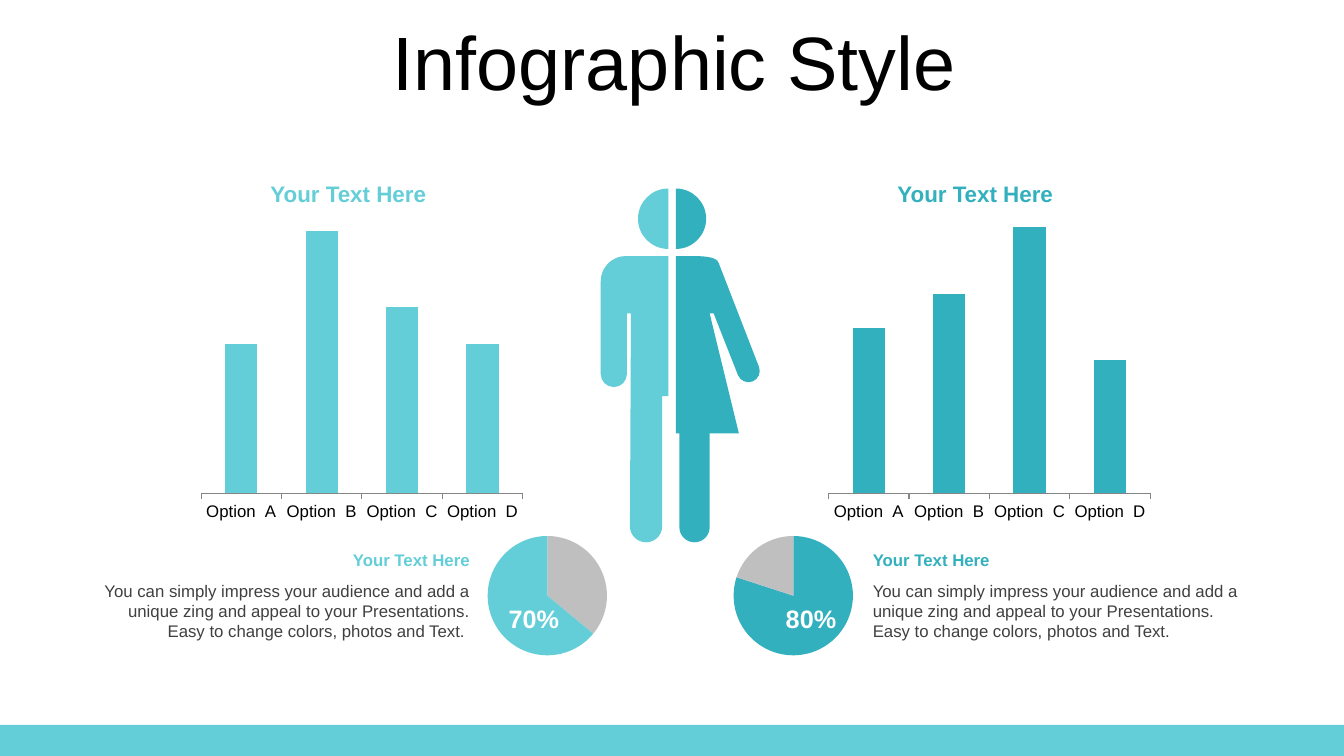
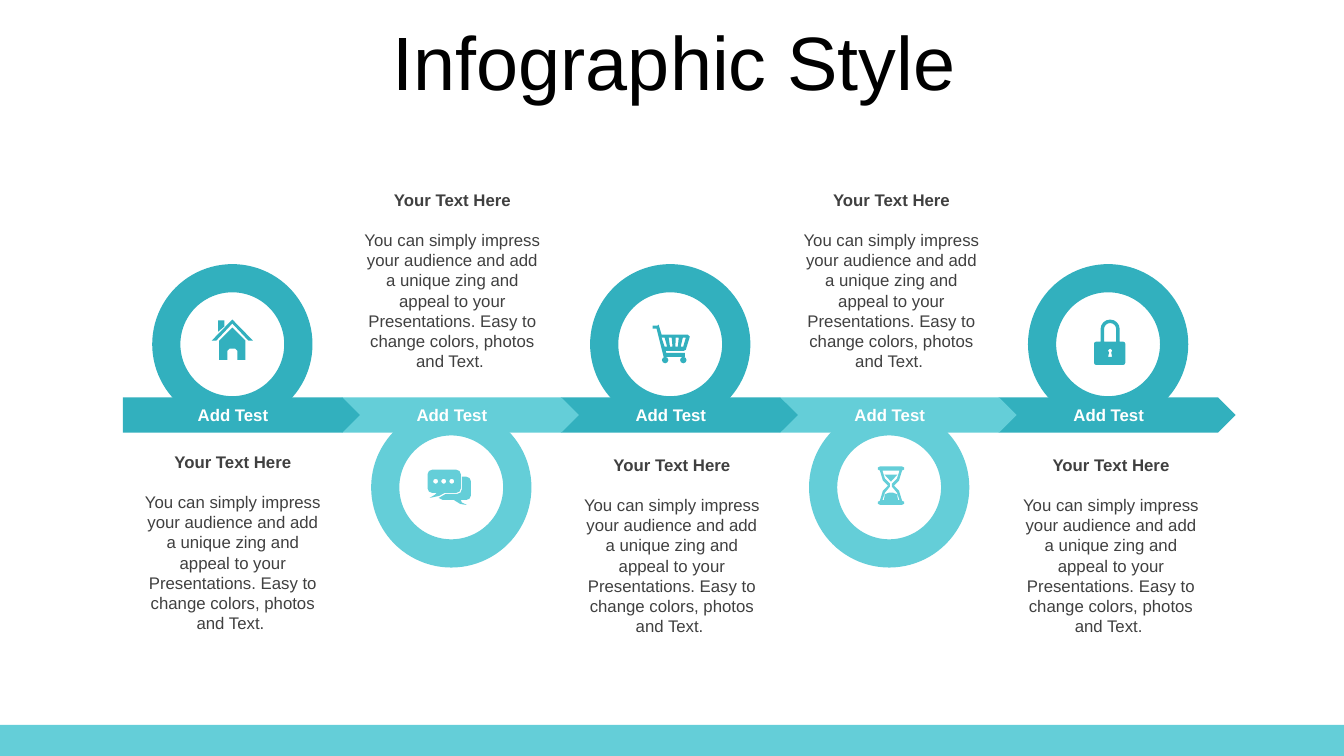
import math

import pptx
import pptx.chart.data
import pptx.dml.color
import pptx.enum.chart
import pptx.enum.shapes
import pptx.enum.text
import pptx.oxml
import pptx.oxml.ns
import pptx.util

# Lengths are columns and rows of a grid of 0.1 inch cells
COLUMNS, ROWS = 133.33, 75
FONT = "Arial"
LIGHT, DARK, GREY = "64CED8", "32B0BE", "BFBFBF"
BLACK, WHITE, BODY, AXIS = "000000", "FFFFFF", "404040", "868686"
HEADING = "Your Text Here"
MESSAGE = ("You can simply impress your audience and add a unique zing and appeal "
           "to your Presentations. Easy to change colors, photos and Text. ")

Align = pptx.enum.text.PP_ALIGN
Anchor = pptx.enum.text.MSO_ANCHOR
Preset = pptx.enum.shapes.MSO_SHAPE
ChartType = pptx.enum.chart.XL_CHART_TYPE


def cells(count):
    return pptx.util.Inches(count / 10)


def grid(*counts):
    return [cells(count) for count in counts]


def rgb(colour):
    return pptx.dml.color.RGBColor.from_string(colour)


def style_font(font, size, colour, bold=False):
    font.name, font.size, font.bold = FONT, pptx.util.Pt(size), bold
    font.color.rgb = rgb(colour)


def write(frame, text, size, colour, bold=False, align=Align.CENTER, anchor=Anchor.TOP):
    frame.word_wrap = True
    frame.auto_size = pptx.enum.text.MSO_AUTO_SIZE.NONE
    frame.vertical_anchor = anchor
    frame.text = text
    para = frame.paragraphs[0]
    para.alignment = align
    style_font(para.runs[0].font, size, colour, bold)
    return para


def text_box(page, text, place, *style, **options):
    box = page.shapes.add_textbox(*grid(*place))
    write(box.text_frame, text, *style, **options)


def paint(shape, colour):
    shape.shadow.inherit = False
    shape.fill.solid()
    shape.fill.fore_color.rgb = rgb(colour)
    shape.line.fill.background()
    return shape


def preset(page, kind, place, colour):
    return paint(page.shapes.add_shape(kind, *grid(*place)), colour)


# Outlines: a contour lists points (x, y) and curves (control, control, end)

def is_curve(step):
    return len(step) == 3


def arc(x, y, radius, start, end):
    """Start point and Bezier curves of an arc, angles clockwise from the right."""
    count = math.ceil(abs(end - start) / 90)
    sweep = math.radians(end - start) / count
    reach = 4 / 3 * math.tan(sweep / 4)

    def spot(angle, pull=0):
        return (x + radius * (math.cos(angle) - pull * math.sin(angle)),
                y + radius * (math.sin(angle) + pull * math.cos(angle)))

    angles = [math.radians(start) + sweep * i for i in range(count + 1)]
    curves = [(spot(a, reach), spot(b, -reach), spot(b)) for a, b in zip(angles, angles[1:])]
    return [spot(angles[0]), *curves]


def rounded(left, top, right, bottom, radius, tail=()):
    """Rounded rectangle; tail holds extra points along the bottom edge."""
    x1, x2, y1, y2 = left + radius, right - radius, top + radius, bottom - radius
    return [*arc(x1, y1, radius, 180, 270), *arc(x2, y1, radius, 270, 360),
            *arc(x2, y2, radius, 0, 90), *tail, *arc(x1, y2, radius, 90, 180)]


def mirrored(right_half):
    return right_half + [(-x, y) for x, y in reversed(right_half)]


def bend(first):
    """Turn a line segment and the two after it into one Bezier curve."""
    curve = pptx.oxml.parse_xml(f'<a:cubicBezTo {pptx.oxml.ns.nsdecls("a")}/>')
    lines = [first, *first.xpath("following-sibling::a:lnTo[position() < 3]")]
    first.addprevious(curve)
    for line in lines:
        curve.append(line[0])
        line.getparent().remove(line)


def outline(page, contours, colour, origin=(0, 0), turn=0):
    """Draw contours upright; turn is the rotation that the shape itself carries."""
    cosine, sine = math.cos(math.radians(-turn)), math.sin(math.radians(-turn))

    def locate(x, y):
        return grid(origin[0] + x * cosine - y * sine, origin[1] + x * sine + y * cosine)

    builder, curve_starts, count = None, [], 0
    for contour in contours:
        start = locate(*contour[0])
        if builder is None:
            builder = page.shapes.build_freeform(*start, scale=1.0)
        else:
            builder.move_to(*start)
        points = []
        for step in contour[1:]:
            if is_curve(step):
                curve_starts.append(count + len(points))
            points += step if is_curve(step) else [step]
        builder.add_line_segments([locate(*point) for point in points], close=True)
        count += len(points)
    shape = paint(builder.convert_to_shape(), colour)
    lines = shape.element.xpath(".//a:lnTo")
    for index in curve_starts:
        bend(lines[index])
    shape.rotation = turn


MAN = [
    [*arc(62.1, 27.9, 2.5, 180, 270), (66.3, 25.4), (66.3, 39.3), (65.7, 39.3),
     *arc(64.1, 52.2, 1.6, 0, 180), (62.6, 31.1), (62.2, 31.1),
     *arc(60.9, 37.1, 1.3, 0, 180)],
    arc(66.3, 21.7, 3, 90, 270),
]
WOMAN = [
    [(67.05, 25.4), (68.2, 25.4), ((69.6, 25.4), (71.1, 25.4), (71.3, 26.1)),
     *arc(74.25, 36.8, 1.12, -21, 159), (70.8, 31.1), (70.4, 31.1),
     (73.3, 43), (70.4, 43), *arc(68.9, 52.3, 1.5, 0, 180), (67.4, 43), (67.05, 43)],
    arc(67.05, 21.7, 3, -90, 90),
]

# Icons are drawn around the centre of their ring
HOUSE = [
    mirrored([(0, -1.65), (1.3, -0.35), (1.3, 1.55), (0.5, 1.55), (0.5, 0.65),
              (0.3, 0.45)]),
    [(-1.4, -2.35), (-0.8, -2.35), (-0.8, -1.75), (-1.4, -1.25)],
    [(0, -2.45), (2.05, -0.35), (1.6, -0.35), (0, -2.05), (-1.6, -0.35), (-2.05, -0.35)],
]
BUBBLES = [
    rounded(-2.35, -1.75, 0.95, 0.55, 0.45,
            [(-0.65, 0.55), (-1.2, 0.85), (-2.15, 1.05), (-1.65, 0.75), (-1.45, 0.55)]),
    *[arc(-1.55 + 0.8 * i, -0.6, 0.25, 0, 360) for i in range(3)],
    [(1.05, -1.05), *arc(1.5, -0.6, 0.45, 270, 360), *arc(1.5, 0.8, 0.45, 0, 90),
     (0.95, 1.25), (1.05, 1.5), (1.55, 1.75), (0.9, 1.65), (0.25, 1.25), (-0.85, 1.25),
     (-1.25, 1.05), (-0.55, 0.65), *arc(0.6, 0.2, 0.45, 90, 0)],
]
CART = [
    [(-1.15, -1.95), (-0.85, -0.95), (1.75, -0.95), (1.95, -0.75), (1.55, 0.55),
     (1.35, 0.65), (-0.45, 0.65), (-0.4, 0.85), (1.45, 0.85), (1.45, 1.25),
     (-0.65, 1.25), (-1.35, -1.55), (-1.75, -1.55), (-1.75, -1.85), (-1.25, -1.85)],
    *[arc(x, 1.57, 0.32, 0, 360) for x in (-0.5, 1.3)],
    *[[(-0.85 + 0.7 * i, -0.65), (-0.55 + 0.53 * i, 0.25),
       (-0.3 + 0.53 * i, 0.25), (-0.55 + 0.7 * i, -0.65)] for i in range(4)],
]
HOURGLASS = [
    mirrored([(1.1, -2.15), (1.3, -2.05), (1.3, -1.85), (1.1, -1.75), (0.8, -0.75),
              (0.3, -0.25), (0.8, 0.25), (1.1, 1.25), (1.3, 1.35), (1.3, 1.55),
              (1.1, 1.65)]),
    mirrored([(0.85, -1.75), (0.6, -0.95), (0.1, -0.45), (0.1, -0.15), (0.6, 0.45),
              (0.85, 1.2)]),
    mirrored([(0.65, -1.35), (0, -0.65)]),
    mirrored([(0.2, 0.45), (0.6, 0.6), (0.7, 1.15)]),
]
LOCK = [
    rounded(-1.4, -0.25, 1.7, 2.05, 0.2),
    [(-0.75, -0.25), *arc(0.2, -1.5, 0.95, 180, 360), (1.15, -0.25), (0.8, -0.25),
     *arc(0.2, -1.5, 0.6, 360, 180), (-0.4, -0.25)],
    [*arc(0.2, 0.65, 0.22, 120, 420), (0.4, 1.25), (0, 1.25)],
]


# Charts

def add_chart(page, kind, place, categories, values, colours):
    data = pptx.chart.data.CategoryChartData()
    data.categories = categories
    data.add_series("Series 1", values)
    chart = page.shapes.add_chart(kind, *grid(*place), data).chart
    chart.has_title = chart.has_legend = False
    style_font(chart.font, 18, BLACK)
    series = chart.plots[0].series[0]
    targets = [series] if len(colours) == 1 else [series.points[0], series.points[1]]
    for target, colour in zip(targets, colours):
        target.format.fill.solid()
        target.format.fill.fore_color.rgb = rgb(colour)
    return chart


def set_inner_plot(chart, **shares):
    """Fix the inner plot area as shares (x, y, w, h) of the chart."""
    area = chart.element.xpath("//c:plotArea")[0]
    for layout in area.xpath("c:layout"):
        area.remove(layout)
    modes = '<c:xMode val="edge"/><c:yMode val="edge"/>'
    sizes = "".join(f'<c:{name} val="{share}"/>' for name, share in shares.items())
    area.insert(0, pptx.oxml.parse_xml(
        f'<c:layout {pptx.oxml.ns.nsdecls("c")}><c:manualLayout>'
        f'<c:layoutTarget val="inner"/>{modes}{sizes}</c:manualLayout></c:layout>'))


def column_chart(page, left, values, maximum, colour):
    chart = add_chart(page, ChartType.COLUMN_STACKED, (left, 18, 36.1, 33.7),
                      [f"Option  {letter}" for letter in "ABCD"], values, [colour])
    set_inner_plot(chart, x=0.097, y=0.034, w=0.884, h=0.886)
    plot = chart.plots[0]
    plot.gap_width, plot.overlap, plot.vary_by_categories = 150, 100, False
    chart.value_axis.minimum_scale, chart.value_axis.maximum_scale = 0, maximum
    chart.value_axis.has_major_gridlines = False
    chart.value_axis.visible = False
    axis = chart.category_axis
    axis.major_tick_mark = pptx.enum.chart.XL_TICK_MARK.OUTSIDE
    axis.format.line.color.rgb = rgb(AXIS)
    style_font(axis.tick_labels.font, 12, BLACK)


# Shared page parts

def new_page(deck, layout):
    page = deck.slides.add_slide(layout)
    title = page.shapes.title
    title.left, title.top, title.width, title.height = grid(3.6, 2.6, 126.6, 7.9)
    para = write(title.text_frame, "Infographic Style", 54, BLACK, anchor=Anchor.MIDDLE)
    para.line_spacing, para.space_before = 0.9, pptx.util.Pt(10)
    return page


def add_layout_band(layout, page):
    """Draw the bottom band and move it to the layout, so that all pages show it."""
    band = preset(page, Preset.RECTANGLE, (0, 71.9, COLUMNS, 3.1), LIGHT)
    layout.shapes.element.insert(2, band.element)


def caption(page, left, top, width, gap, height, colour, align):
    text_box(page, HEADING, (left, top, width, 3), 12, colour, True, align)
    text_box(page, MESSAGE, (left, top + gap, width, height), 12, BODY, align=align)


# Pages

def fill_comparison(page):
    column_chart(page, 16.45, (57, 100, 71, 57), 114.5, LIGHT)
    column_chart(page, 78.7, (62, 75, 100, 50), 112.8, DARK)
    outline(page, MAN, LIGHT)
    outline(page, WOMAN, DARK)
    for left, values, colours in ((47, (36, 64), (GREY, LIGHT)), (71.4, (80, 20), (DARK, GREY))):
        add_chart(page, ChartType.PIE, (left, 51.8, 14.6, 14.6), ["1", "2"], values, colours)
    caption(page, 8.2, 54.05, 39.4, 3.05, 7.1, LIGHT, Align.RIGHT)
    caption(page, 85.6, 54.05, 39.1, 3.05, 7.1, DARK, Align.LEFT)
    for left, colour in ((24.4, LIGHT), (86.6, DARK)):
        text_box(page, HEADING, (left, 17.4, 20.3, 3.7), 16, colour, True)
    for left, share in ((49, "70%"), (76.5, "80%")):
        text_box(page, share, (left, 59.35, 7.9, 4), 18, WHITE, True, anchor=Anchor.MIDDLE)


def add_step(page, index, icon, turn, caption_top):
    left = 12.2 + 21.72 * index
    colour, ring_top = (LIGHT, 40.4) if index % 2 else (DARK, 26.2)
    ring_left, ring_size = left + 2.9, 15.9
    ring = preset(page, Preset.DONUT, (ring_left, ring_top, ring_size, ring_size), colour)
    ring.adjustments[0] = 0.176
    # The plate lies over its ring, so that the label stays visible
    plate = preset(page, Preset.PENTAGON, (left, 39.42, 23.5, 3.5), colour)
    frame = plate.text_frame
    frame.margin_left = frame.margin_top = frame.margin_bottom = 0
    frame.margin_right = cells(0.8)
    write(frame, "Add Test", 12, WHITE, True, anchor=Anchor.MIDDLE)
    centre = (ring_left + ring_size / 2, ring_top + ring_size / 2)
    outline(page, icon, colour, centre, turn)
    caption(page, 13.35 + 21.78 * index, caption_top, 19.5, 4, 15.1, BODY, Align.CENTER)


def fill_process(page):
    steps = [(HOUSE, 0, 44.3), (BUBBLES, 0, 18.3), (CART, 0, 44.6),
             (HOURGLASS, 313.4, 18.3), (LOCK, 0, 44.6)]
    # From right to left, so that each tip lies over the next plate
    for index, step in reversed(list(enumerate(steps))):
        add_step(page, index, *step)


def main():
    deck = pptx.Presentation()
    deck.slide_width, deck.slide_height = grid(COLUMNS, ROWS)
    layout = deck.slide_layouts.get_by_name("Title Only")
    comparison, process = new_page(deck, layout), new_page(deck, layout)
    add_layout_band(layout, comparison)
    fill_comparison(comparison)
    fill_process(process)
    deck.save("out.pptx")


if __name__ == "__main__":
    main()
